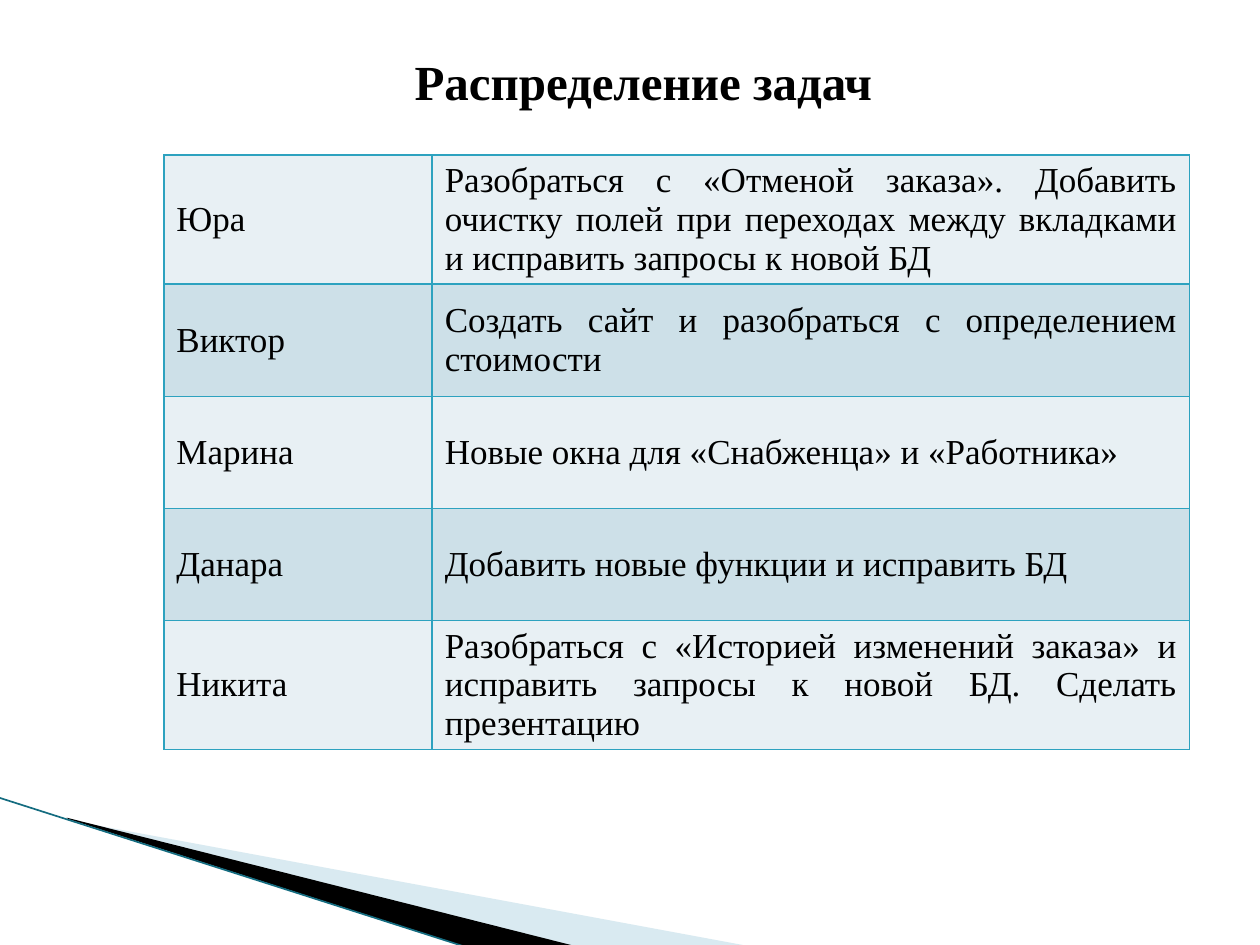
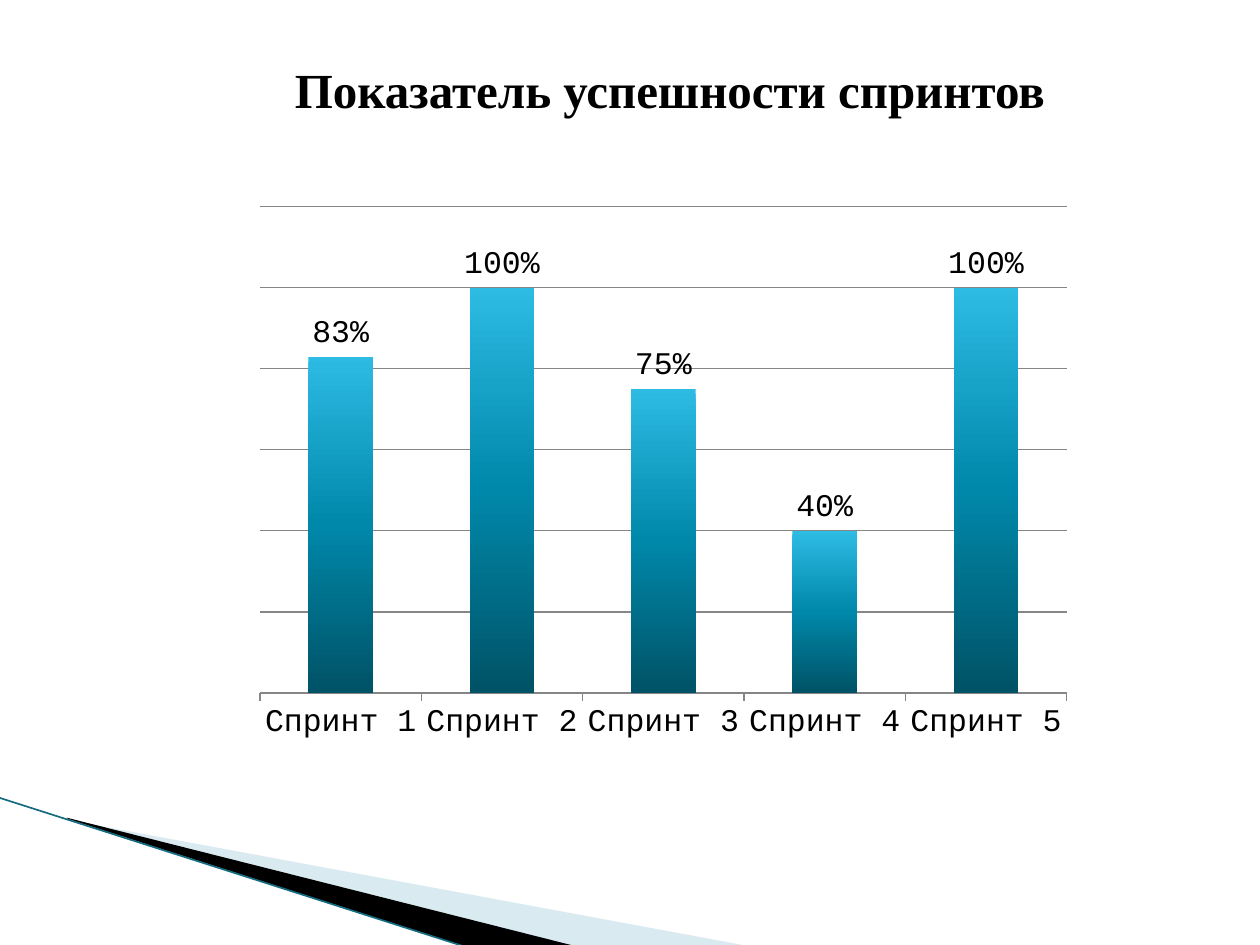
from lxml import etree
from pptx import Presentation
from pptx.chart.data import CategoryChartData
from pptx.dml.color import RGBColor
from pptx.enum.chart import XL_CHART_TYPE, XL_LABEL_POSITION, XL_TICK_MARK
from pptx.enum.shapes import MSO_CONNECTOR
from pptx.enum.text import MSO_ANCHOR, MSO_AUTO_SIZE, PP_ALIGN
from pptx.oxml.ns import qn
from pptx.util import Inches, Pt

COLUMNS = XL_CHART_TYPE.COLUMN_CLUSTERED
OUTSIDE_END = XL_LABEL_POSITION.OUTSIDE_END
TICK_OUT, TICK_NONE = XL_TICK_MARK.OUTSIDE, XL_TICK_MARK.NONE
STRAIGHT = MSO_CONNECTOR.STRAIGHT
TOP, MIDDLE = MSO_ANCHOR.TOP, MSO_ANCHOR.MIDDLE
LEFT, JUSTIFY = PP_ALIGN.LEFT, PP_ALIGN.JUSTIFY
NO_AUTOFIT = MSO_AUTO_SIZE.NONE

BLACK = RGBColor(0x00, 0x00, 0x00)
WEDGE_BLUE = RGBColor(0xA0, 0xCB, 0xDC)
EDGE_TEAL = RGBColor(0x14, 0x6C, 0x80)
BORDER_BLUE = RGBColor(0x2D, 0xA2, 0xBF)
ROW_BANDS = (RGBColor(0xE8, 0xF0, 0xF4), RGBColor(0xCD, 0xE0, 0xE8))
GRID_GRAY = RGBColor(0x86, 0x86, 0x86)
BAR_GRADIENT = ((0, "2DBBE4"), (50, "0088AA"), (100, "005266"))

SERIF, MONO = "Times New Roman", "Courier New"

TASKS = [
    ("Юра", "Разобраться с «Отменой заказа». Добавить очистку полей при "
            "переходах между вкладками и исправить запросы к новой БД"),
    ("Виктор", "Создать сайт и разобраться с определением стоимости"),
    ("Марина", "Новые окна для «Снабженца» и «Работника»"),
    ("Данара", "Добавить новые функции и исправить БД"),
    ("Никита", "Разобраться с «Историей изменений заказа» и исправить запросы "
               "к новой БД. Сделать презентацию"),
]
SPRINT_SUCCESS = (83, 100, 75, 40, 100)


def style_font(font, name, size, bold=False):
    font.name, font.size, font.bold = name, Pt(size), bold
    font.color.rgb = BLACK


def add_wedge(slide, points, color, opacity=100):
    corners = [(Inches(x), Inches(y)) for x, y in points]
    builder = slide.shapes.build_freeform(*corners[0])
    builder.add_line_segments(corners[1:], close=True)
    wedge = builder.convert_to_shape()
    wedge.shadow.inherit = False
    wedge.fill.solid()
    wedge.fill.fore_color.rgb = color
    wedge.line.fill.background()
    if opacity < 100:
        rgb = wedge.fill._xPr.find(".//" + qn("a:srgbClr"))
        etree.SubElement(rgb, qn("a:alpha"), val=str(opacity * 1000))


def add_corner_decoration(slide):
    add_wedge(slide, [(0.55, 6.51), (5.95, 7.51), (4.56, 7.51), (0.55, 6.5)],
              WEDGE_BLUE, 40)
    add_wedge(slide, [(0.53, 6.49), (4.57, 7.51), (3.72, 7.52), (0.54, 6.5)],
              BLACK)
    edge = slide.shapes.add_connector(
        STRAIGHT, Inches(-0.01), Inches(6.33), Inches(3.71), Inches(7.52))
    edge.line.color.rgb = EDGE_TEAL
    edge.line.width = Pt(0.95)
    etree.SubElement(edge._element.spPr, qn("a:effectLst"))


def add_titled_slide(prs, heading, left, top, width):
    slide = prs.slides.add_slide(prs.slide_layouts[5])
    add_corner_decoration(slide)
    title = slide.shapes.title
    title.left, title.top = Inches(left), Inches(top)
    title.width, title.height = Inches(width), Inches(0.57)
    frame = title.text_frame
    frame.text = heading
    frame.word_wrap = False
    frame.auto_size = NO_AUTOFIT
    frame.vertical_anchor = TOP
    paragraph = frame.paragraphs[0]
    paragraph.alignment = LEFT
    style_font(paragraph.font, SERIF, 28, bold=True)
    return slide


def set_borders(cell):
    properties = cell._tc.get_or_add_tcPr()
    for side in ("lnL", "lnR", "lnT", "lnB"):
        line = etree.SubElement(properties, qn("a:" + side), w=str(Pt(1)))
        fill = etree.SubElement(line, qn("a:solidFill"))
        etree.SubElement(fill, qn("a:srgbClr"), val=str(BORDER_BLUE))


def add_task_table(slide):
    table = slide.shapes.add_table(
        len(TASKS), 2, Inches(1.3), Inches(1.23),
        Inches(8.14), Inches(0.89 * len(TASKS))).table
    table.first_row = table.horz_banding = False
    table.columns[0].width, table.columns[1].width = Inches(2.13), Inches(6.01)
    for row, task in enumerate(TASKS):
        for column, text in enumerate(task):
            cell = table.cell(row, column)
            cell.text = text
            cell.vertical_anchor = MIDDLE
            set_borders(cell)
            cell.fill.solid()
            cell.fill.fore_color.rgb = ROW_BANDS[row % 2]
            paragraph = cell.text_frame.paragraphs[0]
            paragraph.alignment = JUSTIFY if column else LEFT
            style_font(paragraph.font, SERIF, 20)


def fill_bars(series):
    """Vertical gradient, light at the top."""
    properties = series._element.get_or_add_spPr()
    gradient = etree.SubElement(properties, qn("a:gradFill"))
    stops = etree.SubElement(gradient, qn("a:gsLst"))
    for position, color in BAR_GRADIENT:
        stop = etree.SubElement(stops, qn("a:gs"), pos=str(position * 1000))
        etree.SubElement(stop, qn("a:srgbClr"), val=color)
    etree.SubElement(gradient, qn("a:lin"), ang="5400000", scaled="0")


def place_plot(chart, **fractions):
    """Fix the inner plot area as fractions of the chart."""
    plot_area = chart._chartSpace.chart.plotArea
    layout = plot_area.find(qn("c:layout"))
    if layout is None:
        layout = etree.Element(qn("c:layout"))
        plot_area.insert(0, layout)
    manual = etree.SubElement(layout, qn("c:manualLayout"))
    settings = {"layoutTarget": "inner", "xMode": "edge", "yMode": "edge"}
    for tag, value in {**settings, **fractions}.items():
        etree.SubElement(manual, qn("c:" + tag), val=str(value))


def add_sprint_chart(slide):
    data = CategoryChartData()
    data.categories = [f"Спринт {n + 1}" for n in range(len(SPRINT_SUCCESS))]
    data.add_series("Series 1", SPRINT_SUCCESS)
    chart = slide.shapes.add_chart(
        COLUMNS, Inches(1.93), Inches(1.55), Inches(6.67), Inches(4.44),
        data).chart
    chart.has_legend = chart.has_title = False
    style_font(chart.font, MONO, 18)
    place_plot(chart, x=0.02, y=0.02, w=0.96, h=0.87)

    # Bars and their labels
    plot = chart.plots[0]
    plot.gap_width = 150
    plot.vary_by_categories = False
    fill_bars(plot.series[0])
    plot.has_data_labels = True
    labels = plot.data_labels
    labels.show_value = True
    labels.position = OUTSIDE_END
    labels.number_format = '0"%"'
    labels.number_format_is_linked = False

    # Axes
    success, sprints = chart.value_axis, chart.category_axis
    success.minimum_scale, success.maximum_scale = 0, 120
    success.major_unit = 20
    success.visible = False
    success.has_major_gridlines = True
    sprints.major_tick_mark, sprints.minor_tick_mark = TICK_OUT, TICK_NONE
    for line in (success.major_gridlines.format.line, sprints.format.line):
        line.color.rgb = GRID_GRAY
        line.width = Pt(0.75)


def main():
    prs = Presentation()
    prs.slide_width, prs.slide_height = Inches(10), Inches(7.5)
    add_task_table(
        add_titled_slide(prs, "Распределение задач", 3.19, 0.36, 3.86))
    add_sprint_chart(
        add_titled_slide(prs, "Показатель успешности спринтов", 2.24, 0.42, 6.22))
    prs.save("out.pptx")


if __name__ == "__main__":
    main()
